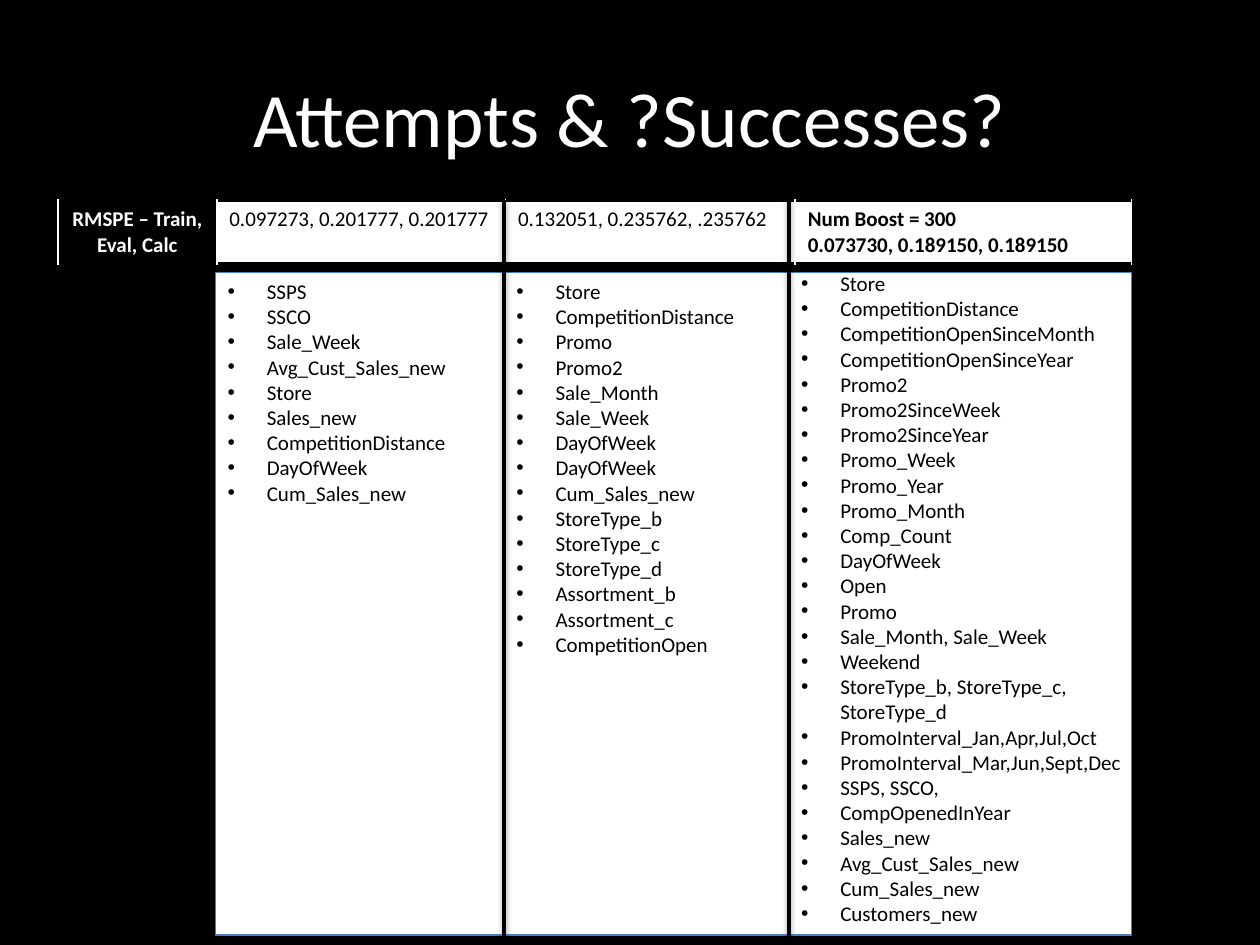
from lxml.etree import SubElement
from pptx import Presentation
from pptx.dml.color import RGBColor as RGB
from pptx.enum.shapes import MSO_CONNECTOR as CONN, MSO_SHAPE as SHAPE
from pptx.enum.text import MSO_ANCHOR as ANCHOR, MSO_AUTO_SIZE as AUTO, PP_ALIGN as ALIGN
from pptx.oxml import parse_xml
from pptx.oxml.ns import nsdecls, qn
from pptx.util import Cm, Pt

COLORS = {"black": "000000", "white": "FFFFFF", "blue": "4B7EBC"}


def write_text(tf, lines, size=12, color="black", bold=False, align=ALIGN.LEFT, bullet=False):
    tf.word_wrap = True
    for i, line in enumerate(lines):
        p = tf.paragraphs[0] if i == 0 else tf.add_paragraph()
        p.alignment = align
        r = p.add_run()
        r.text = line
        r.font.name = "Calibri"
        r.font.size = Pt(size)
        r.font.bold = bold
        r.font.color.rgb = RGB.from_string(COLORS[color])
        if bullet:
            pPr = p._p.get_or_add_pPr()
            pPr.set("marL", str(Cm(0.79)))
            pPr.set("indent", str(-Cm(0.79)))
            SubElement(pPr, qn("a:buFont"), typeface="Arial")
            SubElement(pPr, qn("a:buChar"), char="•")


def add_shadow(s, opacity, distance):
    s._element.spPr.append(parse_xml(
        f'<a:effectLst {nsdecls("a")}><a:outerShdw blurRad="{Pt(3.1)}" dist="{Pt(distance)}" '
        f'dir="5400000" rotWithShape="0"><a:srgbClr val="{COLORS["black"]}">'
        f'<a:alpha val="{opacity * 1000}"/></a:srgbClr></a:outerShdw></a:effectLst>'))


prs = Presentation()
prs.slide_width, prs.slide_height = Cm(25.4), Cm(19.05)
slide = prs.slides.add_slide(prs.slide_layouts[6])
slide.background.fill.solid()
slide.background.fill.fore_color.rgb = RGB.from_string(COLORS["black"])

# White panel behind the feature lists
panel = slide.shapes.add_shape(SHAPE.RECTANGLE, Cm(4.34), Cm(5.49), Cm(18.47), Cm(13.36))
panel.fill.solid()
panel.fill.fore_color.rgb = RGB.from_string(COLORS["white"])
panel.line.color.rgb = RGB.from_string(COLORS["blue"])
panel.line.width = Pt(0.75)
add_shadow(panel, 35, 1.8)

# Title
title = slide.shapes.add_textbox(Cm(1.27), Cm(0.76), Cm(22.86), Cm(3.18))
title.text_frame.vertical_anchor = ANCHOR.MIDDLE
write_text(title.text_frame, ["Attempts & ?Successes?"], size=44, color="white", align=ALIGN.CENTER)

# Score table
scores = [
    (3.2, ["RMSPE – Train, Eval, Calc"], "black",
     dict(color="white", bold=True, align=ALIGN.CENTER)),
    (5.82, ["0.097273, 0.201777, 0.201777"], "white", {}),
    (5.84, ["0.132051, 0.235762, .235762"], "white", {}),
    (6.78, ["Num Boost = 300", "0.073730, 0.189150, 0.189150"], "white", dict(bold=True)),
]
table = slide.shapes.add_table(1, len(scores), Cm(1.17), Cm(4.04), Cm(21.64), Cm(1.27)).table
for i, (width, lines, fill, style) in enumerate(scores):
    table.columns[i].width = Cm(width)
    cell = table.cell(0, i)
    cell.fill.solid()
    cell.fill.fore_color.rgb = RGB.from_string(COLORS[fill])
    write_text(cell.text_frame, lines, **style)
    for n, edge in enumerate(("lnT", "lnB")):
        cell._tc.get_or_add_tcPr().insert(n, parse_xml(
            f'<a:{edge} {nsdecls("a")} w="{Pt(2)}"><a:solidFill>'
            f'<a:srgbClr val="{COLORS["black"]}"/></a:solidFill></a:{edge}>'))

# Column dividers
for x, top in ((10.16, 4.04), (15.9, 3.94)):
    divider = slide.shapes.add_connector(CONN.STRAIGHT, Cm(x), Cm(top), Cm(x), Cm(top + 15.11))
    divider.line.color.rgb = RGB.from_string(COLORS["black"])
    divider.line.width = Pt(2)
    add_shadow(divider, 38, 1.6)

# Feature lists
features = [
    (4.34, 5.49, 4.88, [
        "SSPS", "SSCO", "Sale_Week", "Avg_Cust_Sales_new", "Store", "Sales_new",
        "CompetitionDistance", "DayOfWeek", "Cum_Sales_new"]),
    (10.16, 5.49, 7.95, [
        "Store", "CompetitionDistance", "Promo", "Promo2", "Sale_Month", "Sale_Week",
        "DayOfWeek", "DayOfWeek", "Cum_Sales_new", "StoreType_b", "StoreType_c",
        "StoreType_d", "Assortment_b", "Assortment_c", "CompetitionOpen"]),
    (15.9, 5.33, 13.59, [
        "Store", "CompetitionDistance", "CompetitionOpenSinceMonth",
        "CompetitionOpenSinceYear", "Promo2", "Promo2SinceWeek", "Promo2SinceYear",
        "Promo_Week", "Promo_Year", "Promo_Month", "Comp_Count", "DayOfWeek", "Open",
        "Promo", "Sale_Month, Sale_Week", "Weekend",
        "StoreType_b, StoreType_c, StoreType_d", "PromoInterval_Jan,Apr,Jul,Oct",
        "PromoInterval_Mar,Jun,Sept,Dec", "SSPS, SSCO,", "CompOpenedInYear", "Sales_new",
        "Avg_Cust_Sales_new", "Cum_Sales_new", "Customers_new"]),
]
for x, top, height, names in features:
    box = slide.shapes.add_textbox(Cm(x), Cm(top), Cm(7.8), Cm(height))
    box.text_frame.auto_size = AUTO.SHAPE_TO_FIT_TEXT
    write_text(box.text_frame, names, bullet=True)

prs.save("out.pptx")
